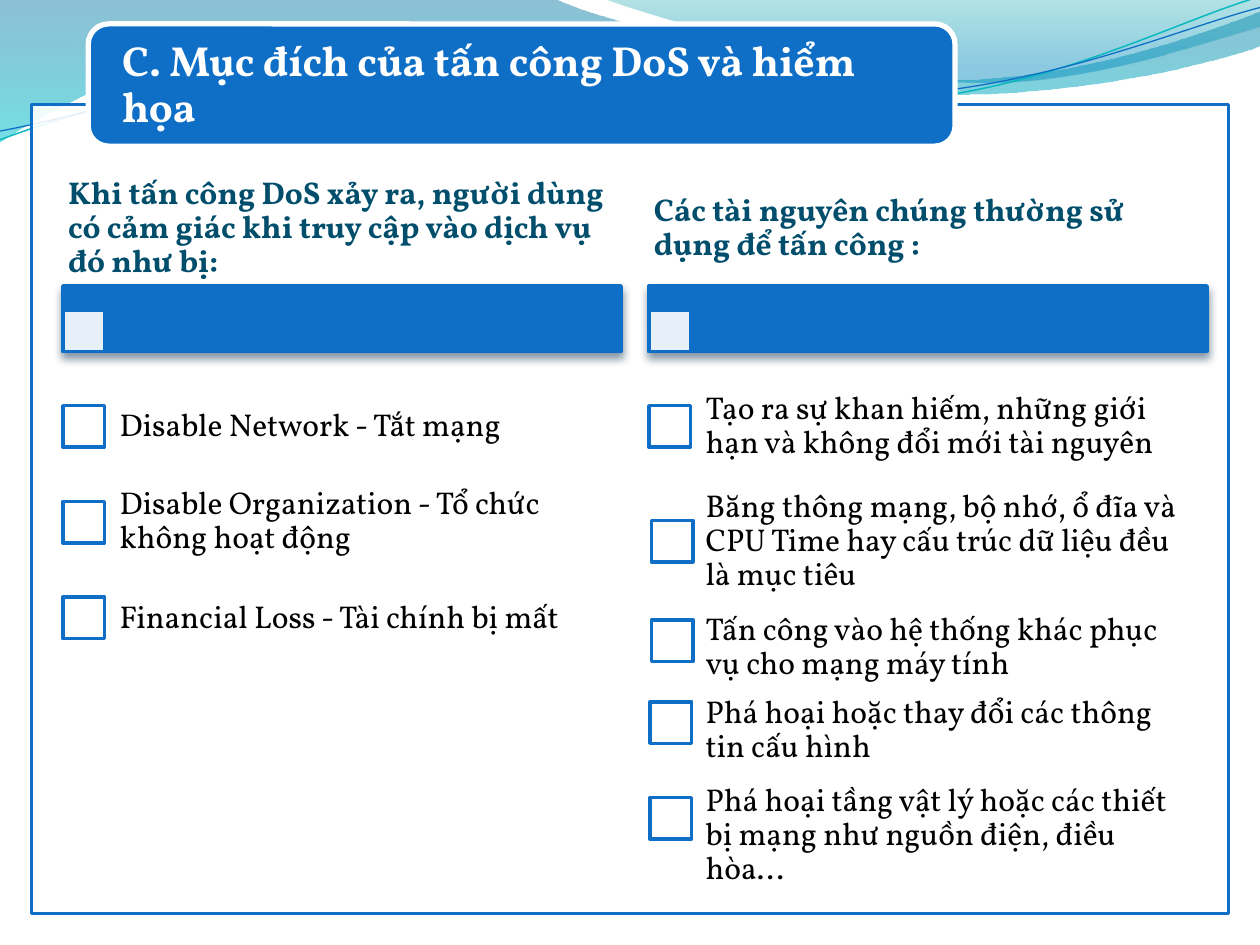
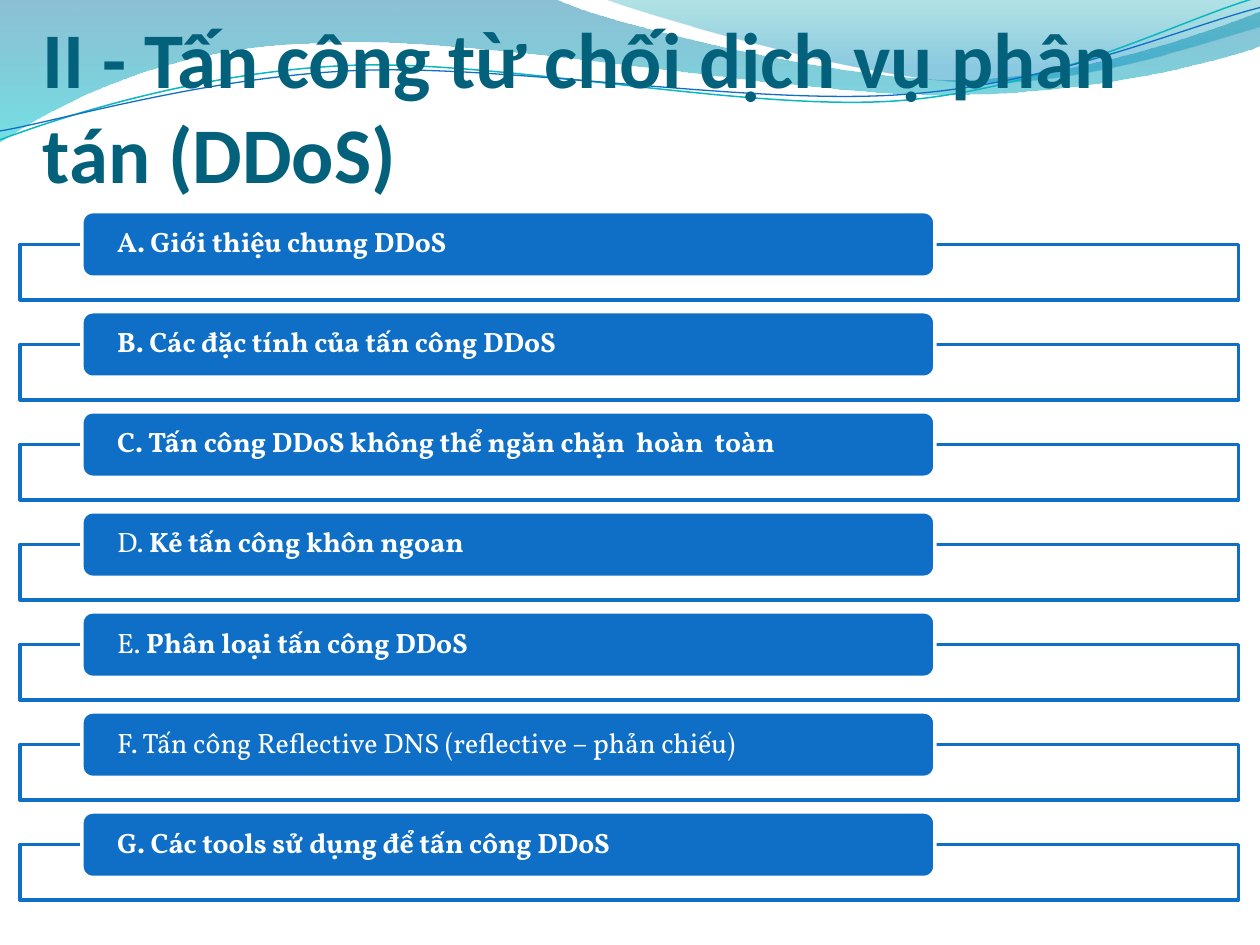
import pptx
import pptx.util
import pptx.dml.color
import pptx.enum.shapes
import pptx.enum.text
from pptx.oxml.ns import qn
from lxml import etree

Inches, Pt = pptx.util.Inches, pptx.util.Pt
Anchor = pptx.enum.text.MSO_ANCHOR
Kind = pptx.enum.shapes.MSO_SHAPE

# ---- Content ----
GOALS = "C. Mục đích của tấn công DoS và hiểm họa"
# Each column: left, heading, then items of (text, text top, box left, box top)
COLUMNS = [
    (0.5, "Khi tấn công DoS xảy ra, người dùng có cảm giác khi truy cập vào dịch vụ đó như bị:", [
        ("Disable Network - Tắt mạng", 3.0, 0.5, 3.22),
        ("Disable Organization - Tổ chức không hoạt động", 3.76, 0.5, 3.98),
        ("Financial Loss - Tài chính bị mất", 4.53, 0.5, 4.74),
    ]),
    (5.15, "Các tài nguyên chúng thường sử dụng để tấn công :", [
        ("Tạo ra sự khan hiếm, những giới hạn và không đổi mới tài nguyên", 3.0, 5.15, 3.22),
        ("Băng thông mạng, bộ nhớ, ổ đĩa và CPU Time hay cấu trúc dữ liệu đều là mục tiêu",
         3.92, 5.17, 4.13),
        ("Tấn công vào hệ thống khác phục vụ cho mạng máy tính", 4.76, 5.17, 4.92),
        ("Phá hoại hoặc thay đổi các thông tin cấu hình", 5.42, 5.16, 5.57),
        ("Phá hoại tầng vật lý hoặc các thiết bị mạng như nguồn điện, điều hòa...",
         6.25, 5.16, 6.33),
    ]),
]
PART = "II - Tấn công từ chối dịch vụ phân tán (DDoS)"
# Each topic: plain lead, bold rest
TOPICS = [
    ("", "A. Giới thiệu chung DDoS"),
    ("", "B. Các đặc tính của tấn công DDoS"),
    ("", "C. Tấn công DDoS không thể ngăn chặn  hoàn  toàn"),
    ("D. ", "Kẻ tấn công khôn ngoan"),
    ("E. ", "Phân loại tấn công DDoS"),
    ("F. Tấn công Reflective DNS (reflective – phản chiếu)", ""),
    ("", "G. Các tools sử dụng để tấn công DDoS"),
]

# ---- Theme ----
THEME = {
    "blue": "0F6FC6", "white": "FFFFFF", "black": "000000", "shade": "042747",
    "head": "004E6C", "title": "04617B", "teal": "0AB8BF",
    "body": "Vollkorn", "sans": "Calibri",
    "big": 45, "label": 24, "text": 18, "topic": 16,
}

# A wave is a start point, then lines (2 numbers) and Bézier curves (6 numbers)
FILLS = [
    ([(0, 0), (4.4, -0.01), (4.76, 0.17, 6.64, 0.63, 7.58, 0.63),
      (8.53, 0.63, 9.58, 0.26, 10, 0.09), (10.01, 0.36),
      (9.83, 0.44, 8.7, 0.76, 7.46, 0.75), (6.22, 0.75, 3.82, 0.28, 2.57, 0.34),
      (1.29, 0.36, 0.46, 0.83, -0.01, 1.13), (0, 0)],
     [(0, "0074A1", 45), (1, "00C6CF", 55)]),
    ([(4.79, -0.01), (5.09, 0.11, 6.82, 0.62, 7.69, 0.65),
      (8.56, 0.69, 9.61, 0.32, 10, 0.21), (10, 0), (4.79, -0.01)],
     [(0, "00A1A9", 30), (0.8, "008BBF", 45)]),
]
STROKES = [
    ([(0, 1.11), (0.48, 0.93, 1.58, 0.57, 2.77, 0.52), (3.95, 0.47, 5.93, 0.89, 7.13, 0.8),
      (8.33, 0.71, 9.38, 0.15, 9.98, -0.02)], "teal", 0.85),
    ([(0, 1.04), (0.47, 0.96, 1.64, 0.61, 2.83, 0.56), (4.03, 0.51, 5.97, 0.84, 7.17, 0.75),
      (8.36, 0.67, 9.41, 0.21, 10, 0.06)], "blue", 0.75),
]


def tint(name):
    return pptx.dml.color.RGBColor.from_string(THEME.get(name, name))


def put(item, **vals):
    for key, val in vals.items():
        setattr(item, key, val)


def fade(clr, pct):
    """Make a colour element pct percent opaque."""
    etree.SubElement(clr, qn("a:alpha"), val=str(pct * 1000))


def curve(slide, wave, close):
    """Draw a wave through its end points, then bend the curved parts."""
    ends = [tuple(map(Inches, seg[-2:])) for seg in wave]
    pen = slide.shapes.build_freeform(*ends[0], scale=1.0)
    pen.add_line_segments(ends[1:], close=close)
    shape = pen.convert_to_shape()
    shape.shadow.inherit = False
    for node, seg in zip(shape.element.xpath(".//a:path/a:lnTo"), wave[1:]):
        if len(seg) == 6:
            node.tag = qn("a:cubicBezTo")
            for n in (0, 2):
                x, y = Inches(seg[n]) - shape.left, Inches(seg[n + 1]) - shape.top
                pull = etree.SubElement(node, qn("a:pt"), x=str(x), y=str(y))
                node.insert(n // 2, pull)
    return shape


def waves(slide):
    for wave, stops in FILLS:
        shape = curve(slide, wave, True)
        shape.line.fill.background()
        shape.fill.gradient()
        shape.fill.gradient_angle = 270
        for stop, (pos, hue, _) in zip(shape.fill.gradient_stops, stops):
            stop.position = pos
            stop.color.rgb = tint(hue)
        for clr, stop in zip(shape.element.xpath(".//a:gs/a:srgbClr"), stops):
            fade(clr, stop[2])
    for wave, hue, width in STROKES:
        shape = curve(slide, wave, False)
        shape.fill.background()
        shape.line.color.rgb = tint(hue)
        shape.line.width = Pt(width)


def box(slide, at, fill="white", line="blue", width=2, kind=Kind.RECTANGLE,
        clear=False, shadow=False):
    shape = slide.shapes.add_shape(kind, *map(Inches, at))
    shape.shadow.inherit = False
    shape.fill.solid()
    shape.fill.fore_color.rgb = tint(fill)
    shape.line.color.rgb = tint(line)
    shape.line.width = Pt(width)
    if clear:
        fade(shape.element.xpath("./p:spPr/a:solidFill/a:srgbClr")[0], 90)
    if shadow:
        glow = etree.SubElement(
            shape.element.xpath("./p:spPr/a:effectLst")[0], qn("a:outerShdw"),
            blurRad=str(Pt(4.5)), dist=str(Pt(3)), dir="5400000", rotWithShape="0")
        fade(etree.SubElement(glow, qn("a:srgbClr"), val=THEME["shade"]), 48)


def text(slide, at, runs, size, hue, inset, face="body", anchor=Anchor.MIDDLE, space=0.9):
    """Add a text box; runs are (words, bold) pairs, inset is left, top, right, bottom."""
    frame = slide.shapes.add_textbox(*map(Inches, at)).text_frame
    sides = ("margin_left", "margin_top", "margin_right", "margin_bottom")
    put(frame, word_wrap=True, vertical_anchor=anchor,
        **dict(zip(sides, map(Inches, inset))))
    para = frame.paragraphs[0]
    para.line_spacing = space
    for words, bold in runs:
        if words:
            run = para.add_run()
            run.text = words
            put(run.font, name=THEME[face], size=Pt(THEME[size]), bold=bold)
            run.font.color.rgb = tint(hue)


def goals(slide):
    box(slide, (0.25, 0.83, 9.5, 6.42), clear=True)
    box(slide, (0.7, 0.19, 6.88, 0.97), "blue", "white", 3, Kind.ROUNDED_RECTANGLE)
    text(slide, (0.73, 0.24, 6.82, 0.88), [(GOALS, True)], "label", "white", (0.24, 0, 0.24, 0))
    side, wide = 0.33, 4.43
    for left, head, items in COLUMNS:
        box(slide, (left, 2.27, wide, 0.52), "blue", shadow=True)
        box(slide, (left, 2.46, side, side), clear=True)
        text(slide, (left, 1.34, wide, 0.94), [(head, True)], "text", "head",
             (0.04, 0.03, 0.04, 0.03))
        for words, top, x, y in items:
            box(slide, (x, y, side, side))
            text(slide, (left + 0.31, top, wide - 0.31, 0.76), [(words, False)],
                 "text", "black", (0.14,) * 4)


def topics(slide):
    text(slide, (0.34, 0.17, 9, 2.17), [(PART, True)], "big", "title", (0, 0.05, 0, 0.76),
         "sans", Anchor.BOTTOM, 1.0)
    first, step = 1.68, 0.794
    for n, (lead, rest) in enumerate(TOPICS):
        top = first + n * step
        box(slide, (0.16, top + 0.26, 9.67, 0.44), clear=True)
        box(slide, (0.65, top, 6.77, 0.52), "blue", "white", kind=Kind.ROUNDED_RECTANGLE)
        text(slide, (0.67, top + 0.02, 6.72, 0.47), [(lead, False), (rest, True)],
             "topic", "white", (0.26, 0, 0.26, 0))


def main():
    deck = pptx.Presentation()
    put(deck, slide_width=Inches(10), slide_height=Inches(7.5))
    for draw in (goals, topics):
        slide = deck.slides.add_slide(deck.slide_layouts[6])
        waves(slide)
        draw(slide)
    deck.save("out.pptx")


if __name__ == "__main__":
    main()
